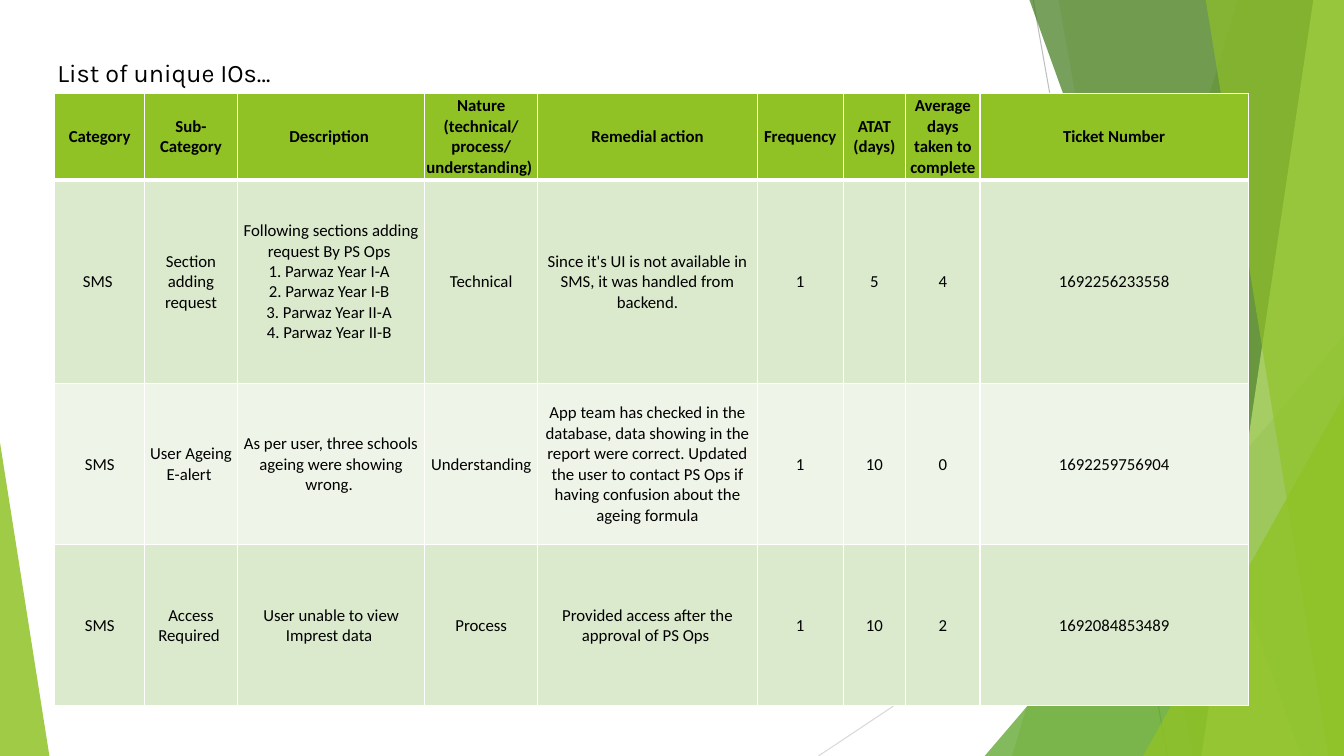
from dataclasses import dataclass

from lxml import etree
from pptx import Presentation
from pptx.dml.color import RGBColor
from pptx.enum.shapes import MSO_CONNECTOR, MSO_SHAPE
from pptx.enum.text import MSO_ANCHOR, MSO_AUTO_SIZE, PP_ALIGN
from pptx.oxml.ns import qn
from pptx.util import Pt

STRAIGHT = MSO_CONNECTOR.STRAIGHT
TRIANGLE = MSO_SHAPE.ISOSCELES_TRIANGLE
TOP, MIDDLE = MSO_ANCHOR.TOP, MSO_ANCHOR.MIDDLE
LEFT, CENTER = PP_ALIGN.LEFT, PP_ALIGN.CENTER
NO_AUTOFIT = MSO_AUTO_SIZE.NONE


@dataclass(frozen=True)
class Theme:
    green: str = "90C226"
    leaf: str = "54A021"
    forest: str = "3F7819"
    lime: str = "C0E474"
    band_dark: str = "DBE9CD"
    band_light: str = "EEF4E8"
    ink: str = "000000"
    border: str = "FFFFFF"
    line_dark: str = "BFBFBF"
    line_light: str = "D9D9D9"
    title_font: str = "Karla"
    table_font: str = "Calibri"
    title_size: int = 18
    table_size: int = 12


THEME = Theme()
WIDTH, HEIGHT = 960, 540

TITLE = "List of unique IOs…"
TITLE_BOX = (33.8, 37.4, 169.2, 28.8)

HEADERS = ["Category", "Sub- Category", "Description ",
           "Nature (technical/ process/ understanding) ", "Remedial action",
           "Frequency", "ATAT (days)", "Average days taken to complete", "Ticket Number"]
ISSUES = [
    ["SMS ", "Section adding request",
     "Following sections adding request By PS Ops \v1. Parwaz Year I-A \n"
     "2. Parwaz Year I-B \n3. Parwaz Year II-A \n4. Parwaz Year II-B ",
     "Technical", "Since it's UI is not available in SMS, it was handled from backend.",
     "1", "5", "4", "1692256233558"],
    ["SMS", "User Ageing E-alert ",
     "As per user, three schools ageing were showing wrong. ", "Understanding",
     "App team has checked in the database, data showing in the report were correct. "
     "Updated the user to contact PS Ops if having confusion about the ageing formula",
     "1", "10", "0", "1692259756904"],
    ["SMS", "Access Required ", "User unable to view Imprest data ", "Process",
     "Provided access after the approval of PS Ops ", "1", "10", "2", "1692084853489"],
]
TABLE_LEFT, TABLE_TOP = 39.2, 66.5
COLUMN_WIDTHS = [64.1, 66.3, 133.9, 80.6, 157, 61.2, 44.7, 53.2, 191.5]
ROW_HEIGHTS = [61.9, 145.4, 115.2, 115.2]

RAYS = [
    ((738, 0), (833.8, 540), THEME.line_dark),
    ((960, 290.2), (584.6, 540), THEME.line_light),
]
FACETS = [
    ("wedge", (884.2, 722.9), THEME.green, 30),
    ("wedge", (756, 851.8), THEME.green, 20),
    ("triangle", (703.4, 239.8, 256.6, 1), THEME.leaf, 72),
    ("wedge", (735.1, 929.5), THEME.forest, 70),
    ("wedge", (938.2, 858.2), THEME.lime, 70),
    ("wedge", (861.1, 949), THEME.green, 65),
    ("triangle", (816.5, 283, 143.5, 1), THEME.green, 80),
    ("triangle", (0, 316.1, 35.3, 0), THEME.green, 85),
]


def rgb(color):
    return RGBColor.from_string(color)


def style_runs(paragraph, font, size, bold):
    for run in paragraph.runs:
        run.font.name = font
        run.font.size = Pt(size)
        run.font.bold = bold
        run.font.color.rgb = rgb(THEME.ink)


def add_ray(slide, start, end, color):
    ray = slide.shapes.add_connector(STRAIGHT, *map(Pt, start + end))
    ray.line.color.rgb = rgb(color)
    ray.line.width = Pt(0.75)
    etree.SubElement(ray.element.spPr, qn("a:effectLst"))


def add_wedge(slide, top_x, bottom_x):
    builder = slide.shapes.build_freeform(Pt(top_x), Pt(-0.7))
    corners = [(WIDTH, -0.7), (WIDTH, HEIGHT), (bottom_x, HEIGHT)]
    builder.add_line_segments([(Pt(x), Pt(y)) for x, y in corners], close=True)
    return builder.convert_to_shape()


def add_triangle(slide, left, top, width, apex):
    triangle = slide.shapes.add_shape(
        TRIANGLE, Pt(left), Pt(top), Pt(width), Pt(HEIGHT - top))
    triangle.adjustments[0] = apex
    return triangle


def add_facet(slide, kind, geometry, color, opacity):
    add = add_wedge if kind == "wedge" else add_triangle
    facet = add(slide, *geometry)
    facet.shadow.inherit = False
    facet.fill.solid()
    facet.fill.fore_color.rgb = rgb(color)
    facet.line.fill.background()
    tint = facet.element.spPr.find(qn("a:solidFill"))[0]
    etree.SubElement(tint, qn("a:alpha"), val=str(opacity * 1000))


def set_borders(cell, widths):
    properties = cell._tc.get_or_add_tcPr()
    for position, (side, width) in enumerate(widths.items()):
        edge = etree.Element(qn(f"a:ln{side}"), w=str(Pt(width)))
        fill = etree.SubElement(edge, qn("a:solidFill"))
        etree.SubElement(fill, qn("a:srgbClr"), val=THEME.border)
        properties.insert(position, edge)


def fill_cell(cell, text, row):
    cell.text = text
    cell.vertical_anchor = MIDDLE
    cell.margin_left = cell.margin_right = cell.margin_top = Pt(0.7)
    cell.margin_bottom = 0
    for paragraph in cell.text_frame.paragraphs:
        paragraph.alignment = CENTER
        style_runs(paragraph, THEME.table_font, THEME.table_size, row == 0)
    band = THEME.band_dark if row % 2 else THEME.band_light
    cell.fill.solid()
    cell.fill.fore_color.rgb = rgb(THEME.green if row == 0 else band)
    set_borders(cell, {"L": 1, "R": 1, "T": 3 if row == 1 else 1, "B": 3 if row == 0 else 1})


def add_issue_table(slide):
    rows = [HEADERS] + ISSUES
    table = slide.shapes.add_table(
        len(rows), len(HEADERS), Pt(TABLE_LEFT), Pt(TABLE_TOP),
        Pt(sum(COLUMN_WIDTHS)), Pt(sum(ROW_HEIGHTS))).table
    for column, width in zip(table.columns, COLUMN_WIDTHS):
        column.width = Pt(width)
    for index, (height, texts) in enumerate(zip(ROW_HEIGHTS, rows)):
        table.rows[index].height = Pt(height)
        for cell, text in zip(table.rows[index].cells, texts):
            fill_cell(cell, text, index)


def place_title(slide):
    title = slide.shapes.title
    title.left, title.top, title.width, title.height = map(Pt, TITLE_BOX)
    frame = title.text_frame
    frame.text = TITLE
    frame.word_wrap = False
    frame.auto_size = NO_AUTOFIT
    frame.vertical_anchor = TOP
    frame.paragraphs[0].alignment = LEFT
    style_runs(frame.paragraphs[0], THEME.title_font, THEME.title_size, False)


def main():
    deck = Presentation()
    deck.slide_width, deck.slide_height = Pt(WIDTH), Pt(HEIGHT)
    slide = deck.slides.add_slide(deck.slide_layouts.get_by_name("Title Only"))
    for ray in RAYS:
        add_ray(slide, *ray)
    for facet in FACETS:
        add_facet(slide, *facet)
    add_issue_table(slide)
    place_title(slide)
    deck.save("out.pptx")


if __name__ == "__main__":
    main()
